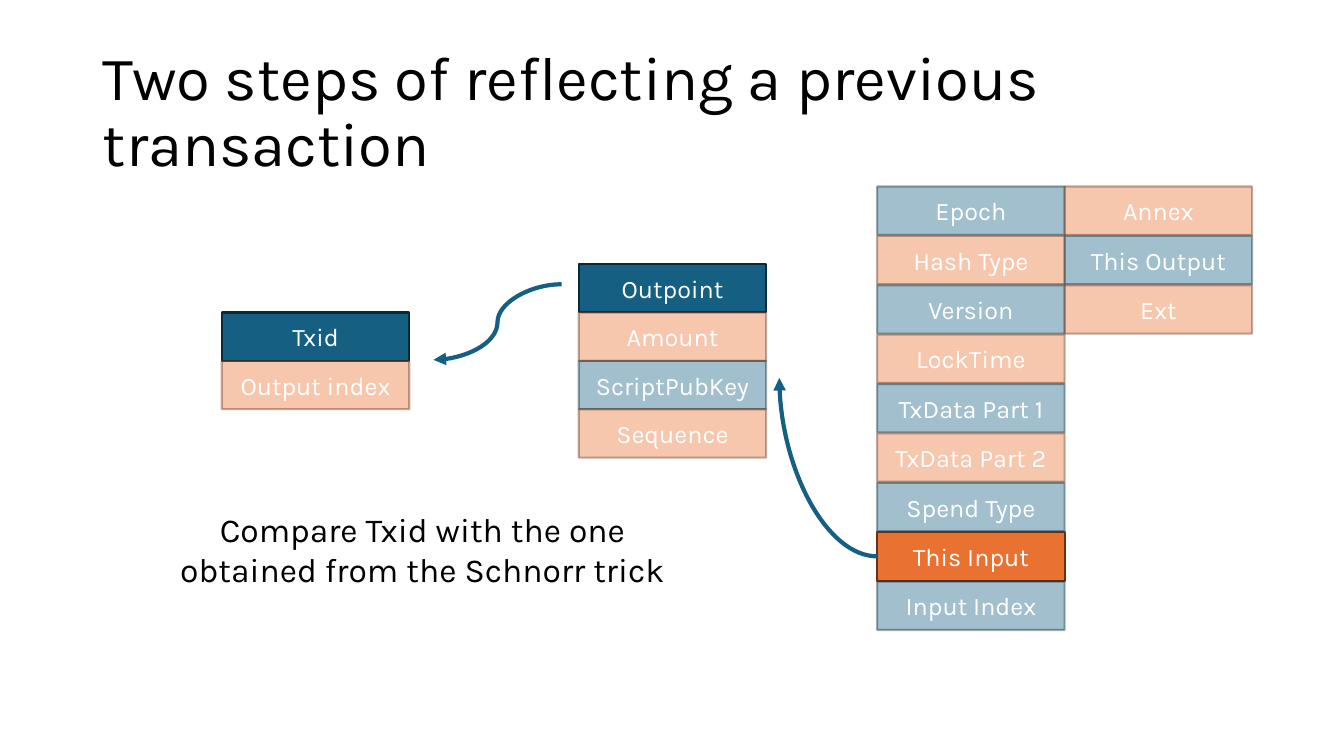
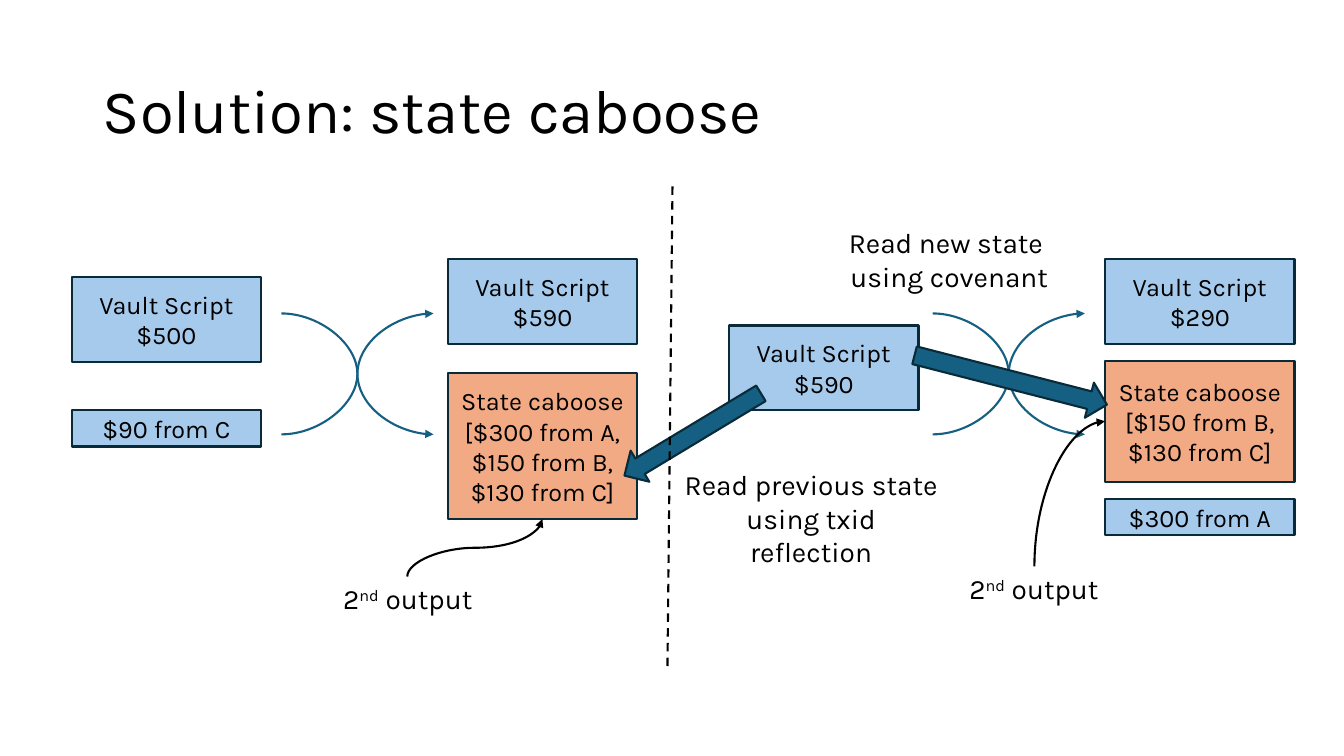
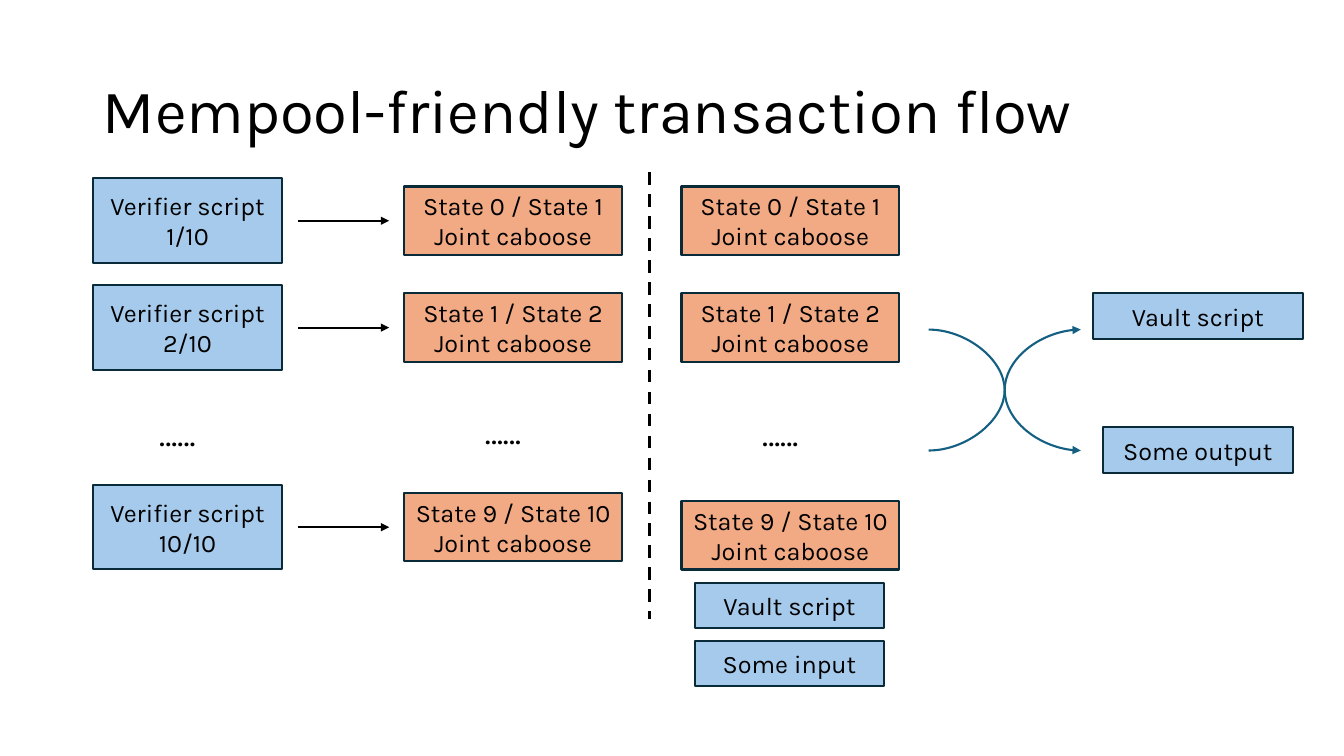
from dataclasses import dataclass

from lxml import etree
from pptx import Presentation
from pptx import util as u
from pptx.dml import color
from pptx.enum import dml, shapes, text
from pptx.oxml import ns


@dataclass(frozen=True)
class Theme:
    """Colours, type sizes and line widths shared by the slides."""
    font: str = "Karla"
    black: str = "000000"
    white: str = "FFFFFF"
    blue: str = "156082"
    navy: str = "092A39"
    orange: str = "E97132"
    brown: str = "663216"
    sky: str = "A6CAEC"
    peach: str = "F2AA84"
    title: int = 44
    large: int = 24
    note: int = 20
    body: int = 18
    thin: float = 1.5
    medium: float = 2.25
    thick: float = 3
    faded: int = 40


T = Theme()
CENTER = text.PP_ALIGN.CENTER


def rgb(value):
    """Turn a hex string into a colour."""
    return color.RGBColor.from_string(value)


def inches(*values):
    """Turn numbers into lengths."""
    return [u.Inches(v) for v in values]


def add_run(p, words, size, ink=T.black, raised=False):
    """Add one formatted run to a paragraph."""
    r = p.add_run()
    r.text = words
    r.font.name = T.font
    r.font.size = u.Pt(size)
    r.font.color.rgb = rgb(ink)
    if raised:
        r.font._element.set("baseline", "30000")


def fill_text(tf, lines, size, ink=T.black, align=CENTER):
    """Write lines as paragraphs; a line is a string or a list of (words, raised)."""
    tf.word_wrap = True
    for i, line in enumerate(lines):
        p = tf.add_paragraph() if i else tf.paragraphs[0]
        p.alignment = align
        for words, raised in [(line, False)] if isinstance(line, str) else line:
            add_run(p, words, size, ink, raised)


def set_alpha(sp, percent):
    """Make the fill and outline of a shape translucent."""
    for clr in sp._element.spPr.iter(ns.qn("a:srgbClr")):
        etree.SubElement(clr, ns.qn("a:alpha")).set("val", str(percent * 1000))


def add_block(s, box, fill, line=T.navy, kind=shapes.MSO_SHAPE.RECTANGLE):
    """Add an outlined preset shape without a shadow."""
    sp = s.shapes.add_shape(kind, *inches(*box))
    sp.shadow.inherit = False
    sp.fill.solid()
    sp.fill.fore_color.rgb = rgb(fill)
    sp.line.color.rgb = rgb(line)
    sp.line.width = u.Pt(T.thin)
    return sp


def add_box(s, box, *lines, fill=T.sky, line=T.navy, ink=T.black):
    """Add a rectangle with centred lines of text."""
    sp = add_block(s, box, fill, line)
    sp.text_frame.vertical_anchor = text.MSO_ANCHOR.MIDDLE
    fill_text(sp.text_frame, lines, T.body, ink)
    return sp


def add_note(s, box, *lines, size=T.note, align=CENTER):
    """Add a free text box."""
    tf = s.shapes.add_textbox(*inches(*box)).text_frame
    fill_text(tf, lines, size, align=align)
    tf.auto_size = text.MSO_AUTO_SIZE.SHAPE_TO_FIT_TEXT


def add_line(s, start, end, ink=T.black, width=T.thin, arrow=True, dash=False,
             kind=shapes.MSO_CONNECTOR.STRAIGHT):
    """Add a connector with an optional arrowhead or dash."""
    cx = s.shapes.add_connector(kind, *inches(*start, *end))
    cx.line.color.rgb = rgb(ink)
    cx.line.width = u.Pt(width)
    if dash:
        cx.line.dash_style = dml.MSO_LINE.DASH
    if arrow:
        etree.SubElement(cx.line._get_or_add_ln(), ns.qn("a:tailEnd")).set("type", "triangle")
    etree.SubElement(cx._element.spPr, ns.qn("a:effectLst"))
    return cx


def add_curve(s, start, end, ink=T.blue, width=T.thin, upright=False, quarter=False):
    """Add a curved arrow that leaves sideways, or vertically when upright."""
    if upright:
        mx, my = (start[0] + end[0]) / 2, (start[1] + end[1]) / 2
        start, end = [(mx + y - my, my - x + mx) for x, y in (start, end)]
    cx = add_line(s, start, end, ink, width, kind=shapes.MSO_CONNECTOR.CURVE)
    spPr = cx._element.spPr
    if upright:
        spPr.find(ns.qn("a:xfrm")).set("rot", "5400000")
    if quarter:
        spPr.find(ns.qn("a:prstGeom")).set("prst", "curvedConnector2")


def add_crossing(s, x, y, w=1.51, h=1.2):
    """Add two curved arrows that swap inputs and outputs."""
    add_curve(s, (x, y), (x + w, y + h))
    add_curve(s, (x, y + h), (x + w, y))


def add_field_stack(s, x, y, names, pitch=0.48, first_blue=True, strong=""):
    """Stack fields in alternating colours, all faded but the strong one."""
    pairs = [(T.blue, T.navy), (T.orange, T.brown)]
    for i, name in enumerate(names):
        fill, line = pairs[(i + (not first_blue)) % 2]
        sp = add_box(s, (x, y + i * pitch, 1.86, 0.48), name, fill=fill, line=line, ink=T.white)
        if name != strong:
            set_alpha(sp, T.faded)


def add_fat_arrow(s, box, angle):
    """Add a rotated block arrow."""
    add_block(s, box, T.blue, kind=shapes.MSO_SHAPE.RIGHT_ARROW).rotation = angle


def add_vault(s, x, y, amount):
    """Add a vault script box with its amount."""
    add_box(s, (x, y, 1.88, 0.84), "Vault Script", amount)


def add_caboose(s, x, y, h, *shares):
    """Add a state caboose box listing its shares."""
    add_box(s, (x, y, 1.88, h), "State caboose", *shares, fill=T.peach)


def add_output_label(s, x, y):
    """Add the label of the second output."""
    add_note(s, (x, y, 1.93, 0.44), [("2", False), ("nd", True), (" output", False)])


def add_joint(s, x, y, step):
    """Add a joint caboose box between two successive states."""
    add_box(s, (x, y, 2.16, 0.68), f"State {step - 1} / State {step}", "Joint caboose",
            fill=T.peach)


def add_verifier(s, x, y, step):
    """Add a verifier script, its arrow and the resulting joint caboose."""
    add_box(s, (x, y, 1.88, 0.84), "Verifier script", f"{step}/10")
    add_line(s, (x + 2.04, y + 0.42), (x + 2.94, y + 0.42))
    add_joint(s, x + 3.09, y + 0.08, step)


def add_titled_slide(prs, words):
    """Add a title-only slide with the shared title style."""
    s = prs.slides.add_slide(prs.slide_layouts[5])
    sp = s.shapes.title
    sp.left, sp.top, sp.width, sp.height = inches(0.92, 0.4, 11.5, 1.45)
    tf = sp.text_frame
    tf.vertical_anchor = text.MSO_ANCHOR.MIDDLE
    tf.auto_size = text.MSO_AUTO_SIZE.NONE
    fill_text(tf, [words], T.title, align=text.PP_ALIGN.LEFT)
    tf.paragraphs[0].line_spacing = 0.9
    return s


def build_reflection(prs):
    """Build the slide on reflecting a previous transaction."""
    s = add_titled_slide(prs, "Two steps of reflecting a previous transaction")
    add_note(s, (1.66, 5, 5.06, 0.91),
             "Compare Txid with the one obtained from the Schnorr trick", size=T.large)
    add_field_stack(s, 8.7, 1.85, ["Epoch", "Hash Type", "Version", "LockTime", "TxData Part 1",
                                   "TxData Part 2", "Spend Type", "This Input", "Input Index"],
                    pitch=0.49, strong="This Input")
    add_field_stack(s, 10.56, 1.85, ["Annex", "This Output", "Ext"], pitch=0.49, first_blue=False)
    add_field_stack(s, 5.74, 2.62, ["Outpoint", "Amount", "ScriptPubKey", "Sequence"],
                    strong="Outpoint")
    add_field_stack(s, 2.2, 3.1, ["Txid", "Output index"], strong="Txid")
    add_curve(s, (8.7, 5.52), (7.73, 3.75), width=T.thick, quarter=True)
    add_curve(s, (5.57, 2.82), (4.3, 3.57), width=T.thick)


def build_caboose(prs):
    """Build the slide on the state caboose."""
    s = add_titled_slide(prs, "Solution: state caboose")
    add_vault(s, 0.71, 2.75, "$500")
    add_box(s, (0.71, 4.07, 1.88, 0.36), "$90 from C")
    add_crossing(s, 2.79, 3.11)
    add_vault(s, 4.44, 2.57, "$590")
    add_caboose(s, 4.44, 3.7, 1.45, "[$300 from A,", "$150 from B,", "$130 from C]")
    add_vault(s, 7.23, 3.23, "$590")
    add_crossing(s, 9.25, 3.11)
    add_vault(s, 10.96, 2.57, "$290")
    add_box(s, (10.96, 4.95, 1.88, 0.36), "$300 from A")
    add_caboose(s, 10.96, 3.58, 1.2, "[$150 from B,", "$130 from C]")
    add_fat_arrow(s, (6.08, 4.13, 1.58, 0.36), 148.9)
    add_note(s, (6.67, 4.59, 2.75, 0.77), "Read previous state using txid reflection")
    add_fat_arrow(s, (9.04, 3.59, 1.97, 0.36), 14.4)
    add_note(s, (8.04, 2.19, 2.75, 0.77), "Read new state ", "using covenant")
    add_line(s, (6.67, 1.85), (6.62, 6.64), arrow=False, dash=True)
    add_output_label(s, 3.08, 5.72)
    add_curve(s, (4.04, 5.72), (5.38, 5.15), ink=T.black, upright=True)
    add_output_label(s, 9.29, 5.62)
    add_curve(s, (10.26, 5.62), (10.96, 4.18), ink=T.black, upright=True, quarter=True)


def build_flow(prs):
    """Build the slide on the transaction flow."""
    s = add_titled_slide(prs, "Mempool-friendly transaction flow")
    for step, y in [(1, 1.77), (2, 2.83), (10, 4.81)]:
        add_verifier(s, 0.92, y, step)
    for step, y in [(1, 1.85), (2, 2.91), (10, 4.97)]:
        add_joint(s, 6.76, y, step)
    for x, y in [(1.48, 4.05), (4.71, 4.03), (7.46, 4.05)]:
        add_note(s, (x, y, 0.76, 0.5), "……", size=T.large, align=text.PP_ALIGN.LEFT)
    add_line(s, (6.44, 1.71), (6.44, 6.14), width=T.medium, arrow=False, dash=True)
    add_crossing(s, 9.21, 3.27)
    for x, y, w, name in [(6.89, 5.78, 1.88, "Vault script"), (6.89, 6.36, 1.88, "Some input"),
                          (10.84, 2.91, 2.08, "Vault script"), (10.94, 4.24, 1.88, "Some output")]:
        add_box(s, (x, y, w, 0.45), name)


def main():
    """Build and save the presentation."""
    prs = Presentation()
    prs.slide_width, prs.slide_height = inches(13.33, 7.5)
    for build in (build_reflection, build_caboose, build_flow):
        build(prs)
    prs.save("out.pptx")


if __name__ == "__main__":
    main()
